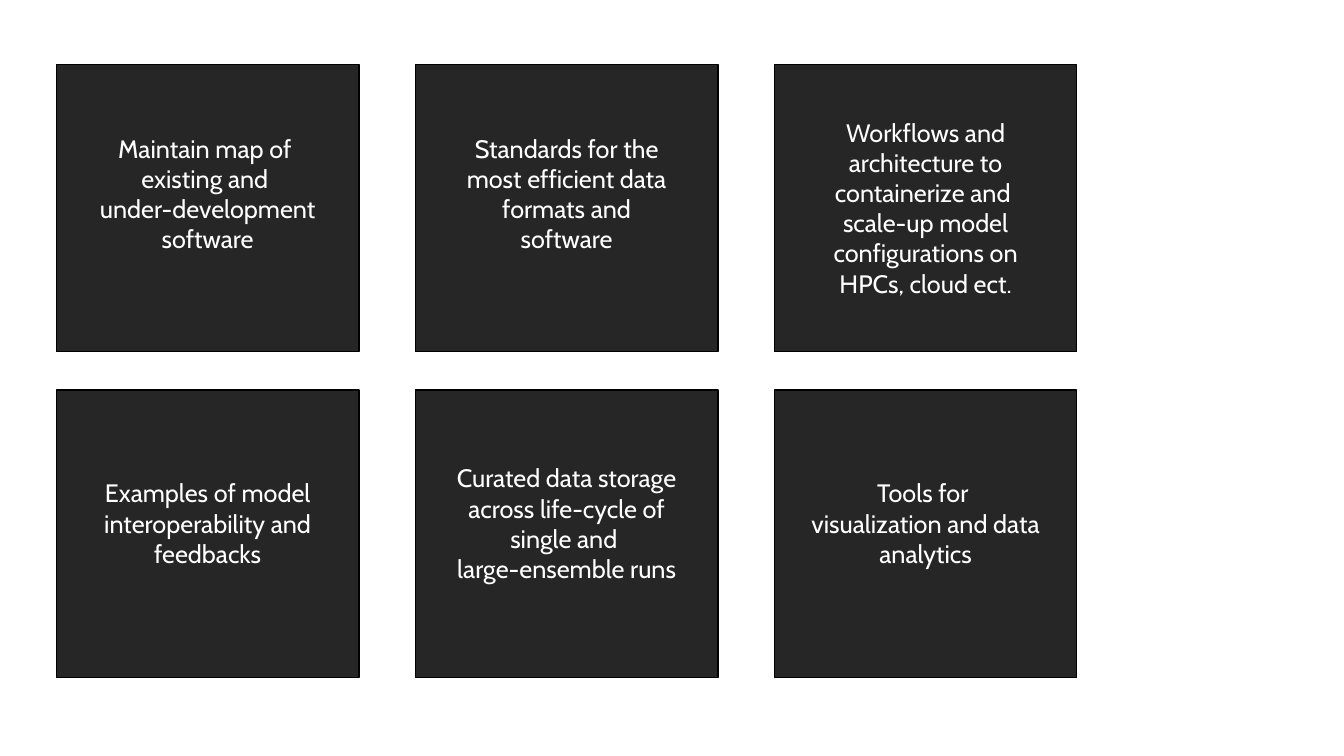
from pptx import Presentation
from pptx.dml.color import RGBColor
from pptx.enum import shapes, text
from pptx.util import Inches, Pt

COLORS = {"card": "262626", "outline": "000000", "text": "FFFFFF"}
FONT = {"name": "Cabin", "size": Pt(18)}
FRAME = {"word_wrap": True, "auto_size": text.MSO_AUTO_SIZE.SHAPE_TO_FIT_TEXT}

# Card grid, in inches
LEFT, TOP = 0.56, 0.64
CARD_W, CARD_H = 3, 2.85
STEP_X, STEP_Y = 3.56, 3.23
COLUMNS = 3

# Paragraphs, then the text box's width, height and offset from the card top
CARDS = [
    (["Maintain map of ", "existing and ", "under-development software"],
     3, 1.31, 0.63),
    (["Standards for the most efficient data formats and software"],
     2.43, 1.31, 0.63),
    (["Workflows and architecture to containerize and ",
      "scale-up model configurations on HPCs, cloud ect."],
     2.69, 1.92, 0.47),
    (["Examples of model interoperability and feedbacks"],
     3, 1.01, 0.82),
    (["Curated data storage across life-cycle of single and ",
      "large-ensemble runs"],
     2.75, 1.31, 0.67),
    (["Tools for ", "visualization and data analytics"],
     2.58, 1.01, 0.82),
]


def rgb(name):
    return RGBColor.from_string(COLORS[name])


def set_attrs(target, values):
    for name, value in values.items():
        setattr(target, name, value)


def add_box(group, x, y):
    sp = group.shapes.add_shape(shapes.MSO_SHAPE.RECTANGLE, Inches(x),
                                Inches(y), Inches(CARD_W), Inches(CARD_H))
    sp.shadow.inherit = False
    sp.fill.solid()
    sp.fill.fore_color.rgb = rgb("card")
    sp.line.color.rgb = rgb("outline")
    sp.line.width = Pt(1)


def add_label(group, lines, x, y, w, h):
    sp = group.shapes.add_textbox(Inches(x), Inches(y), Inches(w), Inches(h))
    tf = sp.text_frame
    set_attrs(tf, FRAME)
    for i, line in enumerate(lines):
        p = tf.add_paragraph() if i else tf.paragraphs[0]
        p.alignment = text.PP_ALIGN.CENTER
        r = p.add_run()
        r.text = line
        set_attrs(r.font, FONT)
        r.font.color.rgb = rgb("text")


def add_card(s, index, lines, w, h, offset):
    row, col = divmod(index, COLUMNS)
    x, y = LEFT + col * STEP_X, TOP + row * STEP_Y
    group = s.shapes.add_group_shape()
    add_box(group, x, y)
    # The label is centred across the card
    add_label(group, lines, x + (CARD_W - w) / 2, y + offset, w, h)


def main():
    prs = Presentation()
    prs.slide_width, prs.slide_height = Inches(13.33), Inches(7.5)
    s = prs.slides.add_slide(prs.slide_layouts[6])
    for index, card in enumerate(CARDS):
        add_card(s, index, *card)
    prs.save("out.pptx")


if __name__ == "__main__":
    main()
